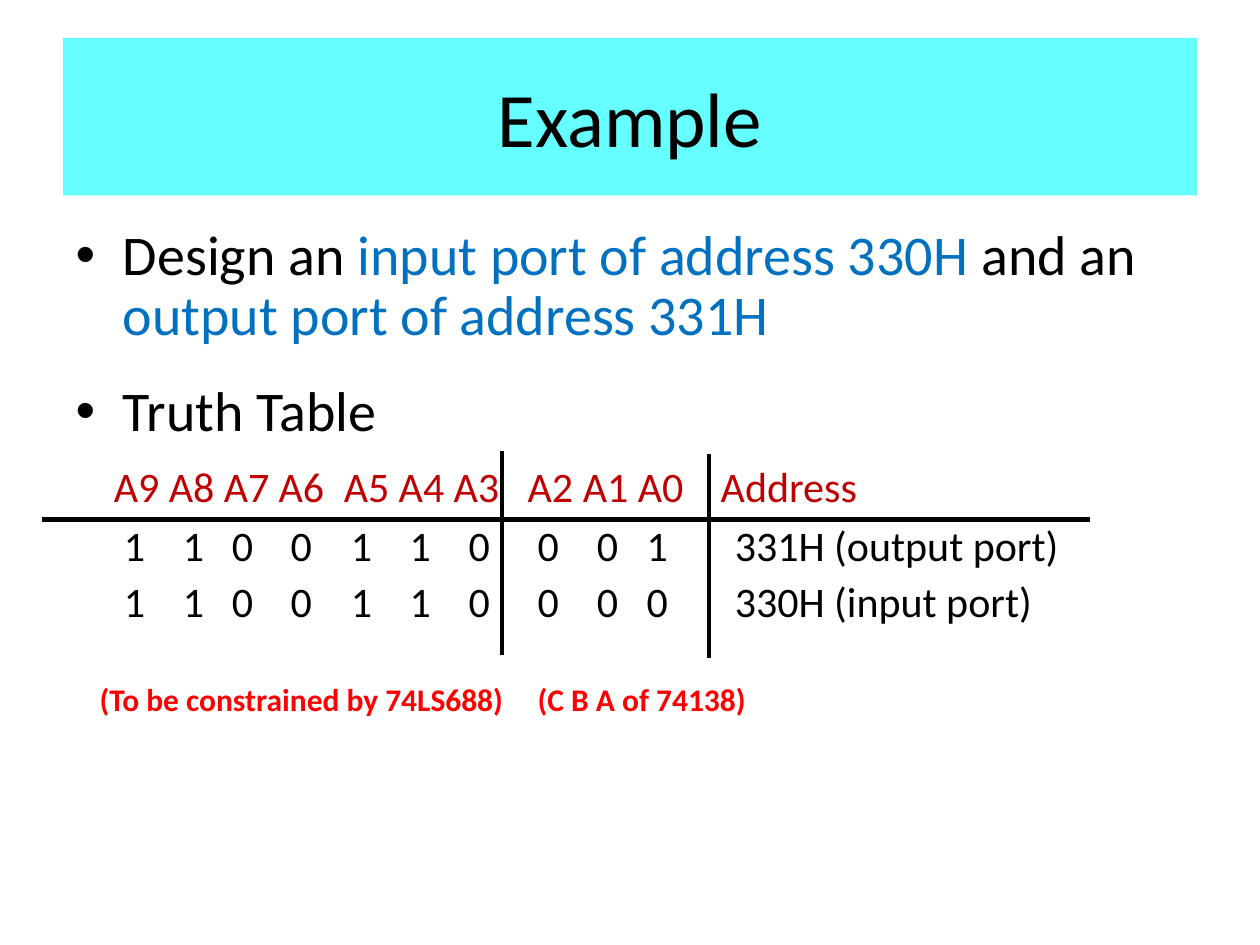
import pptx
import pptx.dml.color
import pptx.enum.text
import pptx.enum.shapes
import pptx.oxml.ns
import pptx.util
from lxml import etree

Pt = pptx.util.Pt
COLORS = {"banner": "66FFFF", "text": "000000", "port": "0070C0",
          "heading": "C00000", "note": "FF0000"}
HEADING_STOPS = [22, 53.4, 84.8, 116.2, 153.4, 184.8, 216.2, 258.5, 290, 321.4, 368.8]
VALUE_STOPS = [27.7, 61.4, 89.4, 123, 157.4, 191, 224.8, 264.2, 298, 326.5, 376.8]
NOTE_STOPS = [13.9, 264.2]
BULLETS = [
    ([("Design an ", "text"), ("input port of address 330H ", "port"),
      ("and an ", "text"), ("output port of address 331H", "port")], 12),
    ([("Truth Table", "text")], 0),
]
ROWS = [
    ("A9 A8 A7 A6 A5 A4 A3 A2 A1 A0".split() + ["Address"], HEADING_STOPS, "heading", 24, 0),
    (list("1100110001") + ["331H (output port)"], VALUE_STOPS, "text", 24, 8),
    (list("1100110000") + ["330H (input port)"], VALUE_STOPS, "text", 24, 6),
    (["(To be constrained by 74LS688)", "(C B A of 74138)"], NOTE_STOPS, "note", 18, 33),
]


def color(name):
    """Return the named colour."""
    return pptx.dml.color.RGBColor.from_string(COLORS[name])


def place(shape, box):
    """Put a shape at left, top, width, height."""
    shape.left, shape.top, shape.width, shape.height = map(Pt, box)


def add_span(para, text, size, color_name, bold=False):
    """Append one formatted run to a paragraph."""
    span = para.add_run()
    span.text = text
    span.font.name = "Calibri"
    span.font.size = Pt(size)
    span.font.bold = bold
    span.font.color.rgb = color(color_name)


def space_para(para, before, after=0):
    """Set the line and paragraph spacing."""
    para.line_spacing = 0.9
    para.space_before, para.space_after = Pt(before), Pt(after)


def next_para(frame, index):
    """Return the first paragraph of the frame, or a new one after it."""
    return frame.add_paragraph() if index else frame.paragraphs[0]


def set_columns(para, stops):
    """Set left tab stops."""
    qn = pptx.oxml.ns.qn
    tabs = etree.SubElement(para._p.get_or_add_pPr(), qn("a:tabLst"))
    for stop in stops:
        etree.SubElement(tabs, qn("a:tab"), pos=str(int(Pt(stop))), algn="l")


def fill_title(title, box):
    """Write the centred title on its banner."""
    place(title, box)
    title.fill.solid()
    title.fill.fore_color.rgb = color("banner")
    title.text_frame.vertical_anchor = pptx.enum.text.MSO_ANCHOR.MIDDLE
    para = title.text_frame.paragraphs[0]
    para.alignment = pptx.enum.text.PP_ALIGN.CENTER
    add_span(para, "Example", 44, "text")


def fill_body(body, box):
    """Write the bullets."""
    place(body, box)
    frame = body.text_frame
    frame.auto_size = pptx.enum.text.MSO_AUTO_SIZE.NONE
    frame.vertical_anchor = pptx.enum.text.MSO_ANCHOR.TOP
    for index, (spans, after) in enumerate(BULLETS):
        para = next_para(frame, index)
        space_para(para, 8, after)
        for text, color_name in spans:
            add_span(para, text, 32, color_name)


def add_truth_table(page, box):
    """Write the tabbed rows of the truth table and its note."""
    frame = page.shapes.add_textbox(*map(Pt, box)).text_frame
    frame.word_wrap = True
    for index, (cells, stops, color_name, size, before) in enumerate(ROWS):
        para = next_para(frame, index)
        space_para(para, before)
        set_columns(para, stops)
        add_span(para, "".join("\t" + cell for cell in cells), size, color_name,
                 color_name == "note")


def draw_rules(page, box):
    """Draw the grouped rules of the truth table."""
    left, top, width, height = box
    rules = page.shapes.add_group_shape()
    for x, y, across, down, weight in [
        (0, 38.9, width, 0, 3),
        (263, 0, 0, height, 2.25),
        (381.6, 1.5, 0, height, 2.25),
    ]:
        rule = rules.shapes.add_connector(
            pptx.enum.shapes.MSO_CONNECTOR.STRAIGHT, Pt(left + x), Pt(top + y),
            Pt(left + x + across), Pt(top + y + down))
        rule.line.color.rgb = color("text")
        rule.line.width = Pt(weight)
        etree.SubElement(rule._element.spPr, pptx.oxml.ns.qn("a:effectLst"))


def main():
    """Build and save the slide."""
    deck = pptx.Presentation()
    deck.slide_width, deck.slide_height = Pt(720), Pt(540)
    page = deck.slides.add_slide(deck.slide_layouts[1])
    fill_title(page.shapes.title, (36, 21.6, 648, 90))
    fill_body(page.placeholders[1], (36, 126, 684, 130))
    add_truth_table(page, (36, 262.8, 684, 219.6))
    draw_rules(page, (23.8, 257.8, 599, 116.6))
    deck.save("out.pptx")


if __name__ == "__main__":
    main()
